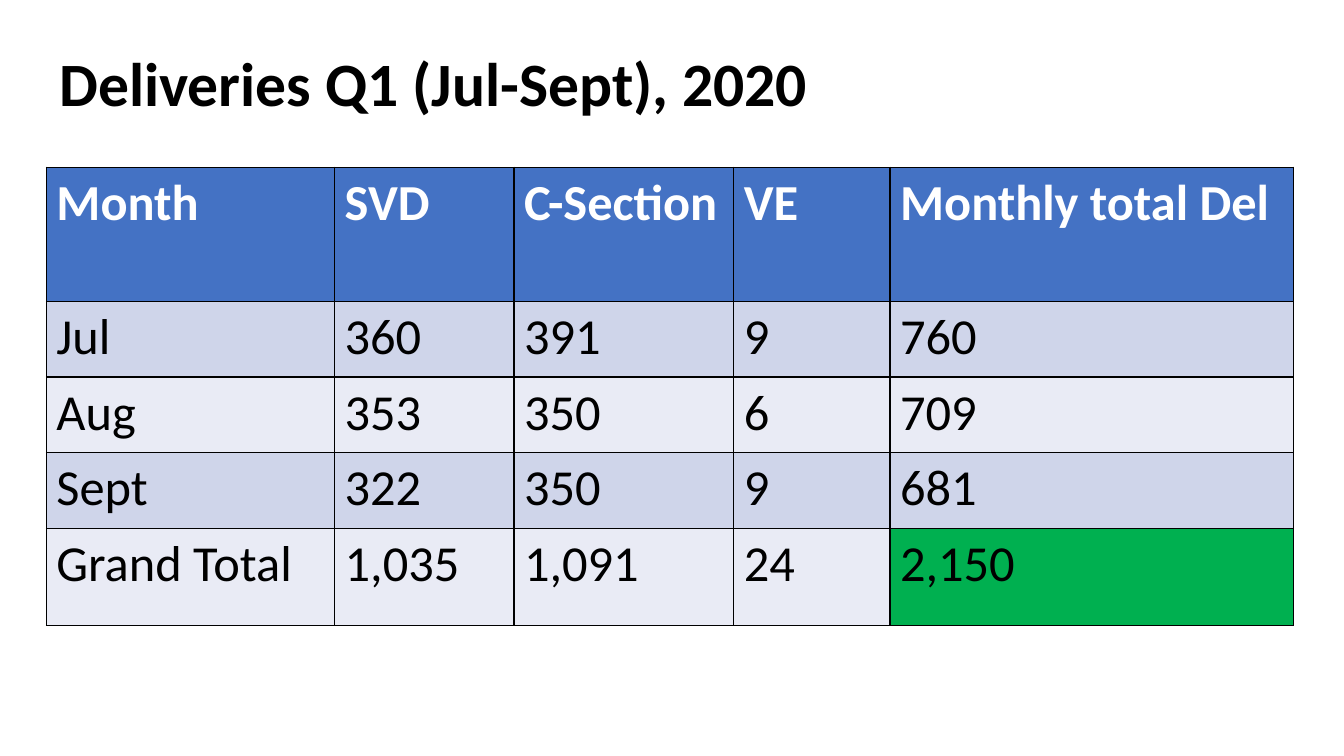
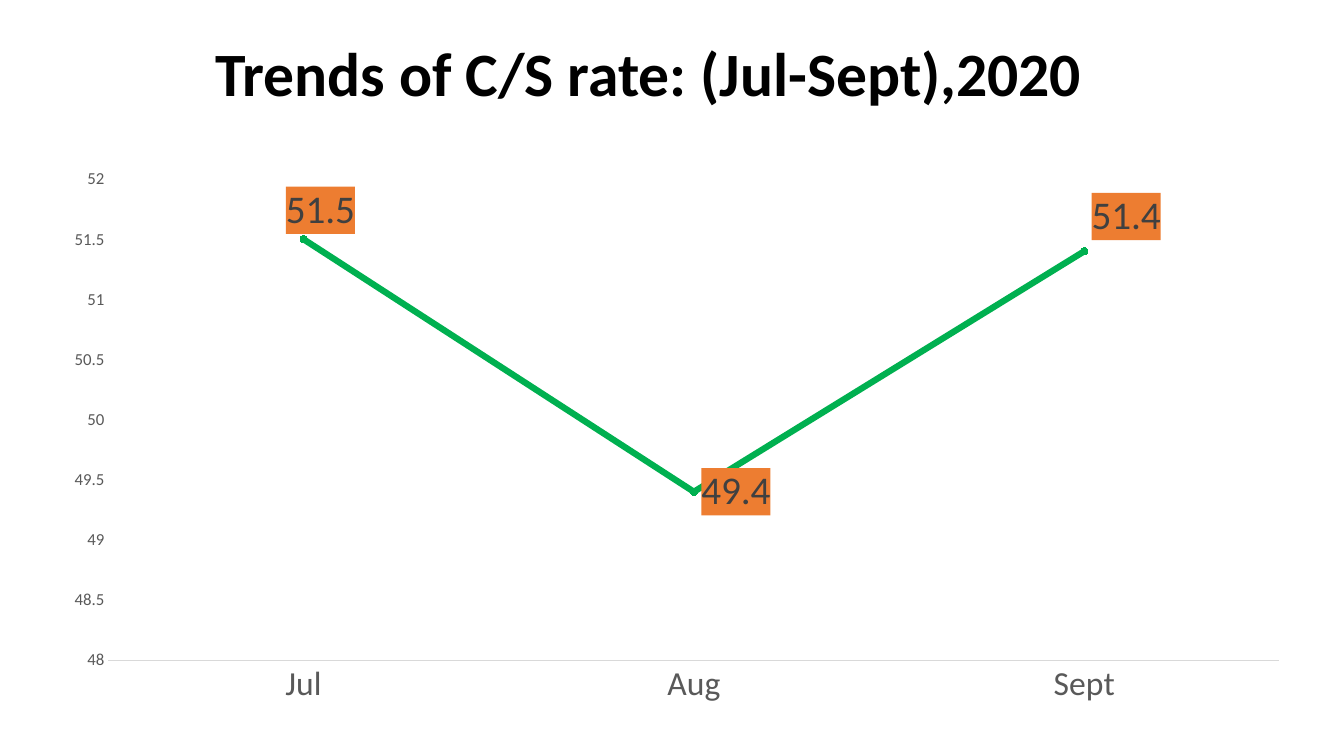
from lxml import etree
from pptx import Presentation
from pptx.chart.data import CategoryChartData
from pptx.dml.color import RGBColor
from pptx.enum.chart import XL_CHART_TYPE, XL_LABEL_POSITION, XL_MARKER_STYLE, XL_TICK_MARK
from pptx.enum.text import MSO_ANCHOR, PP_ALIGN
from pptx.oxml import parse_xml
from pptx.oxml.ns import nsdecls, qn
from pptx.util import Inches, Pt

LEFT, CENTER = PP_ALIGN.LEFT, PP_ALIGN.CENTER
MIDDLE = MSO_ANCHOR.MIDDLE
LINE_MARKERS = XL_CHART_TYPE.LINE_MARKERS
CIRCLE = XL_MARKER_STYLE.CIRCLE
NO_TICK = XL_TICK_MARK.NONE
RIGHT_OF_POINT = XL_LABEL_POSITION.RIGHT

FONT = "Calibri"
COLORS = {
    "text": "000000", "white": "FFFFFF", "header": "4472C4",
    "band_dark": "CFD5EA", "band_light": "E9EBF5", "green": "00B050",
    "label": "ED7D31", "label_text": "404040", "axis_text": "595959",
    "axis_line": "D9D9D9",
}
COLORS = {name: RGBColor.from_string(value) for name, value in COLORS.items()}

deck = Presentation()
deck.slide_width, deck.slide_height = Inches(13.33), Inches(7.5)
# Grid of 100 columns by 100 rows
COLUMN, ROW = deck.slide_width / 100, deck.slide_height / 100


def grid(left, top, width, height):
    return [int(n) for n in (left * COLUMN, top * ROW, width * COLUMN, height * ROW)]


def style_font(font, size, color, bold=False):
    font.name, font.size, font.bold = FONT, Pt(size), bold
    font.color.rgb = COLORS[color]


# Slides and titles
TITLES = [
    ("Deliveries Q1 (Jul-Sept), 2020", LEFT, (3.68, 3.07, 91.9, 16.67)),
    ("Trends of C/S rate: (Jul-Sept),2020", CENTER, (3.38, 2.93, 89.8, 14.53)),
]
pages = []
for title, alignment, place in TITLES:
    page = deck.slides.add_slide(deck.slide_layouts[6])
    box = page.shapes.add_textbox(*grid(*place))
    frame = box.text_frame
    frame.word_wrap, frame.vertical_anchor = True, MIDDLE
    para = frame.paragraphs[0]
    para.text, para.alignment, para.line_spacing = title, alignment, 0.9
    style_font(para.runs[0].font, 44, "text", bold=True)
    pages.append(page)
table_page, chart_page = pages

# Deliveries table
DELIVERIES = [
    ("Month", "SVD", "C-Section", "VE", "Monthly total Del"),
    ("Jul", "360", "391", "9", "760"),
    ("Aug", "353", "350", "6", "709"),
    ("Sept", "322", "350", "9", "681"),
    ("Grand Total", "1,035", "1,091", "24", "2,150"),
]
WIDTHS = [21.45, 13.35, 16.35, 11.63, 30]
HEIGHTS = [17.73, 10, 10, 10, 12.93]
table = table_page.shapes.add_table(
    len(HEIGHTS), len(WIDTHS), *grid(3.45, 22.13, sum(WIDTHS), sum(HEIGHTS))).table
for column, width in zip(table.columns, WIDTHS):
    column.width = int(width * COLUMN)
for row, height in zip(table.rows, HEIGHTS):
    row.height = int(height * ROW)

for r, values in enumerate(DELIVERIES):
    for c, value in enumerate(values):
        cell = table.cell(r, c)
        cell.text = value
        style_font(cell.text_frame.paragraphs[0].runs[0].font, 36,
                   "text" if r else "white", bold=r == 0)
        fill = "header" if r == 0 else "band_dark" if r % 2 else "band_light"
        # Cell borders come before the fill
        properties = cell._tc.get_or_add_tcPr()
        for side in ("lnL", "lnR", "lnT", "lnB"):
            border = etree.SubElement(properties, qn("a:" + side), w=str(Pt(1)))
            solid = etree.SubElement(border, qn("a:solidFill"))
            etree.SubElement(solid, qn("a:srgbClr"), val=str(COLORS["text"]))
        cell.fill.solid()
        cell.fill.fore_color.rgb = COLORS[fill]
grand_total = table.cell(len(HEIGHTS) - 1, len(WIDTHS) - 1)
grand_total.fill.fore_color.rgb = COLORS["green"]

# Rate chart
data = CategoryChartData()
data.categories = ["Jul", "Aug", "Sept"]
data.add_series("Series 1", [51.5, 49.4, 51.4])
chart = chart_page.shapes.add_chart(
    LINE_MARKERS, *grid(3.38, 19.87, 93.7, 76.67), data).chart
chart.has_title = chart.has_legend = False
style_font(chart.font, 10, "text")
plot = chart.plots[0]
plot.vary_by_categories = False

# Axes
months, rates = chart.category_axis, chart.value_axis
for axis, size in ((months, 24), (rates, 12)):
    axis.major_tick_mark = axis.minor_tick_mark = NO_TICK
    axis.has_major_gridlines = False
    style_font(axis.tick_labels.font, size, "axis_text")
months.format.line.color.rgb = COLORS["axis_line"]
months.format.line.width = Pt(0.75)
rates.format.line.fill.background()
rates.minimum_scale, rates.maximum_scale, rates.major_unit = 48, 52, 0.5

# Line and markers
series = plot.series[0]
series.smooth = False
series.format.line.color.rgb = COLORS["green"]
series.format.line.width = Pt(4.5)
marker = series.marker
marker.style, marker.size = CIRCLE, 5
marker.format.fill.solid()
marker.format.fill.fore_color.rgb = COLORS["header"]
marker.format.line.color.rgb = COLORS["header"]

# Data labels; the outer two are shifted by shares of the chart
LAYOUT = "<c:layout %s><c:manualLayout>%s</c:manualLayout></c:layout>"
LABEL_FILL = ('<c:spPr %s><a:solidFill><a:srgbClr val="%s"/></a:solidFill></c:spPr>'
              % (nsdecls("c", "a"), COLORS["label"]))
SHIFTS = {0: (-0.02, -0.05), 2: (0, -0.06)}
labels = series.data_labels
labels.show_value = True
for label in [labels] + [series.points[i].data_label for i in SHIFTS]:
    style_font(label.font, 28, "label_text")
    label.position = RIGHT_OF_POINT
for text_style in list(labels._element.iter(qn("c:txPr"))):
    text_style.addprevious(parse_xml(LABEL_FILL))
for point_label, (x, y) in zip(labels._element.findall(qn("c:dLbl")), SHIFTS.values()):
    shift = '<c:x val="%s"/><c:y val="%s"/>' % (x, y)
    point_label.insert(1, parse_xml(LAYOUT % (nsdecls("c"), shift)))

# Plot area as shares of the chart
plot_area = chart._chartSpace.find(".//" + qn("c:plotArea"))
for layout in plot_area.findall(qn("c:layout")):
    plot_area.remove(layout)
parts = [("layoutTarget", "inner"), ("xMode", "edge"), ("yMode", "edge"),
         ("x", 0.05), ("y", 0.05), ("w", 0.93), ("h", 0.83)]
inner = "".join('<c:%s val="%s"/>' % part for part in parts)
plot_area.insert(0, parse_xml(LAYOUT % (nsdecls("c"), inner)))

deck.save("out.pptx")
